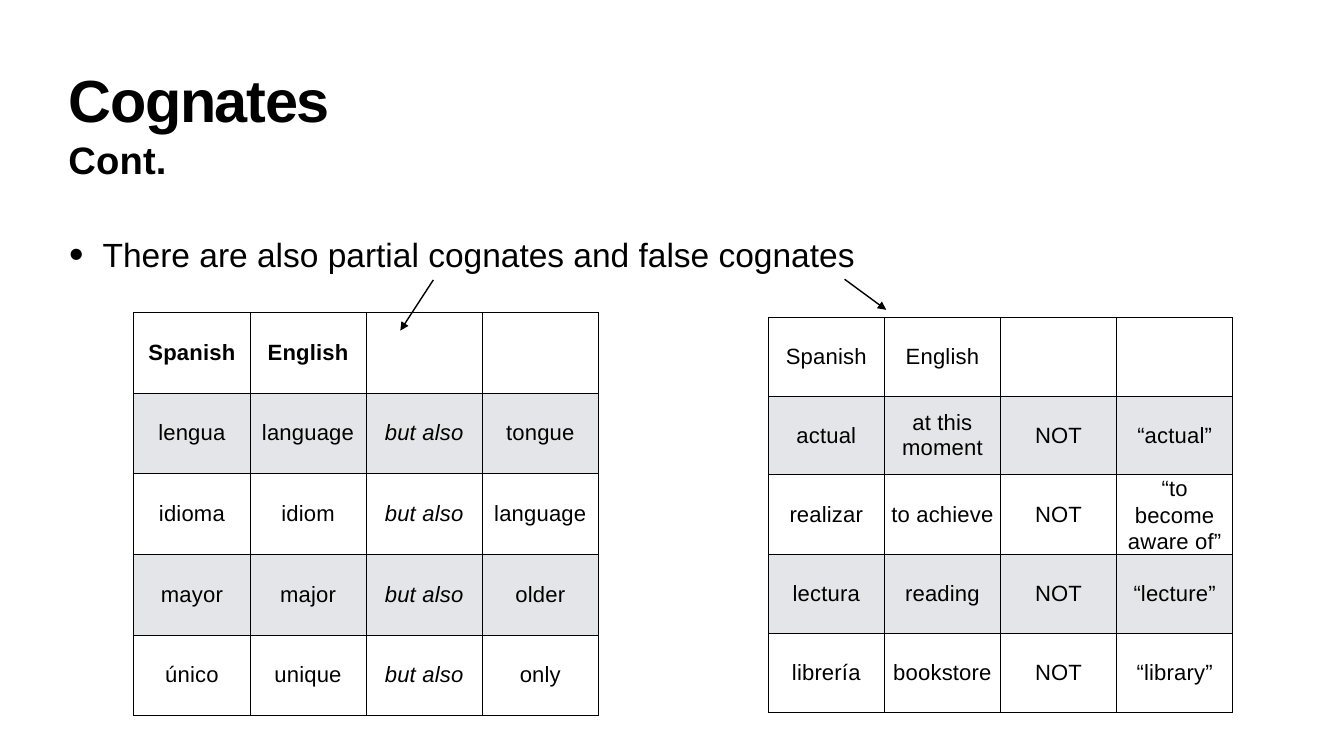
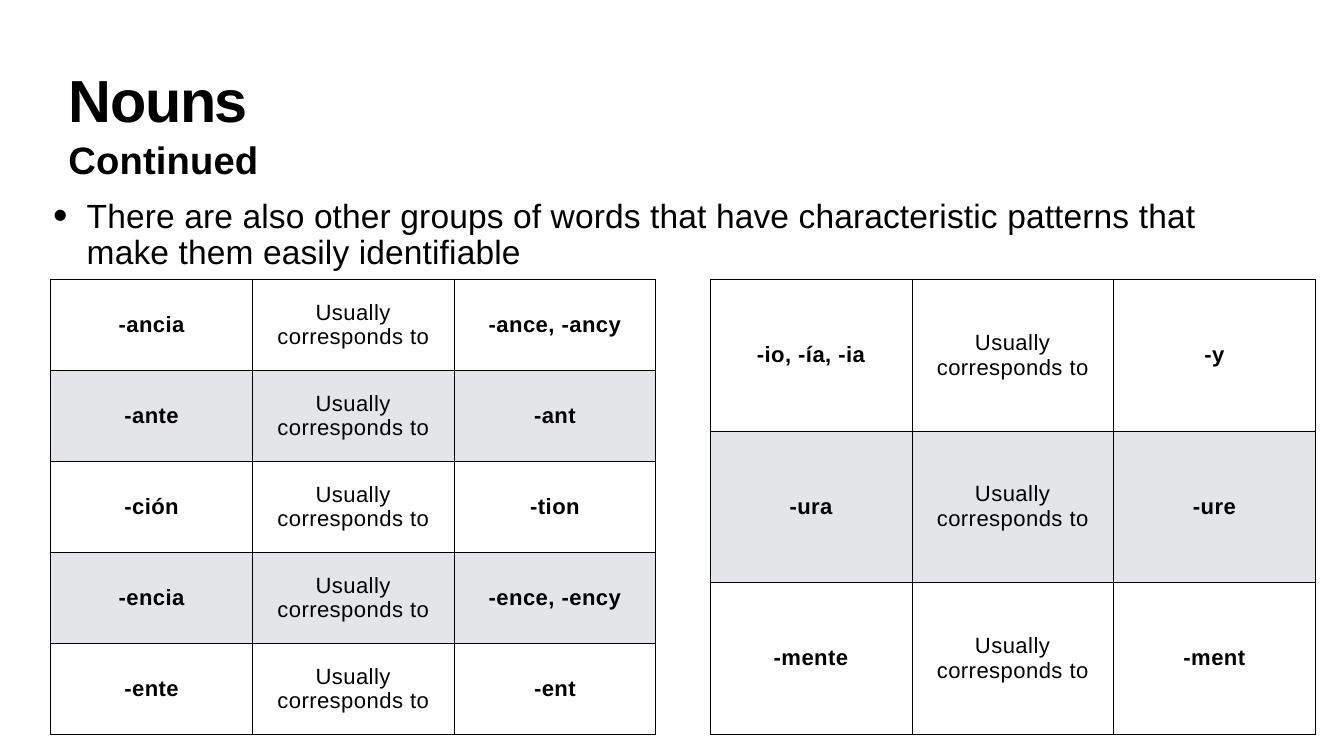
from lxml import etree
from pptx import Presentation
from pptx.dml.color import RGBColor
from pptx.enum.shapes import MSO_CONNECTOR
from pptx.enum.text import MSO_ANCHOR, PP_ALIGN
from pptx.oxml.ns import qn
from pptx.util import Inches, Pt

CENTER, MIDDLE = PP_ALIGN.CENTER, MSO_ANCHOR.MIDDLE
STRAIGHT = MSO_CONNECTOR.STRAIGHT
BLACK, WHITE, BAND = "000000", "FFFFFF", "E3E5E8"
FONT = "Arial"
MATCH = "Usually\vcorresponds to"

SLIDES = [
    {
        "title": "Cognates",
        "subtitle": "Cont.",
        "point": "There are also partial cognates and false cognates",
        "point_at": (1.12, 3.83),
        "point_format": {"spacing": 0},
        "line_spacing": 1.0,
        "tables": [
            {"at": (2.19, 5.11), "column": 1.9, "row": 1.32, "spacing": 0.2,
             "bold_rows": [0], "bold_columns": [], "italic_columns": [2],
             "rows": [["Spanish", "English", "", ""],
                      ["lengua", "language", "but also", "tongue"],
                      ["idioma", "idiom", "but also", "language"],
                      ["mayor", "major", "but also", "older"],
                      ["único", "unique", "but also", "only"]]},
            {"at": (12.57, 5.19), "column": 1.9, "row": 1.29, "spacing": 0.2,
             "bold_rows": [], "bold_columns": [], "italic_columns": [],
             "rows": [["Spanish", "English", "", ""],
                      ["actual", "at this\vmoment", "NOT", "“actual”"],
                      ["realizar", "to achieve", "NOT", "“to\vbecome\vaware of”"],
                      ["lectura", "reading", "NOT", "“lecture”"],
                      ["librería", "bookstore", "NOT", "“library”"]]},
        ],
        "arrows": [(7.09, 4.58, 6.55, 5.41), (13.82, 4.57, 14.5, 5.07)],
    },
    {
        "title": "Nouns",
        "subtitle": "Continued",
        "point": "There are also other groups of words that have characteristic "
                 "patterns that make them easily identifiable",
        "point_at": (0.86, 3.26),
        "point_format": {"spacing": 0.2},
        "line_spacing": Pt(42.4),
        "tables": [
            {"at": (0.83, 4.57), "column": 3.3, "row": 1.49, "spacing": 0.5,
             "bold_rows": [], "bold_columns": [0, 2], "italic_columns": [],
             "rows": [["-ancia", MATCH, "-ance, -ancy"],
                      ["-ante", MATCH, "-ant"],
                      ["-ción", MATCH, "-tion"],
                      ["-encia", MATCH, "-ence, -ency"],
                      ["-ente", MATCH, "-ent"]]},
            {"at": (11.62, 4.57), "column": 3.3, "row": 2.48, "spacing": 0.5,
             "bold_rows": [], "bold_columns": [0, 2], "italic_columns": [],
             "rows": [["-io, -ía, -ia", MATCH, "-y"],
                      ["-ura", MATCH, "-ure"],
                      ["-mente", MATCH, "-ment"]]},
        ],
        "arrows": [],
    },
]


def color(hex_code):
    return RGBColor.from_string(hex_code)


def write(paragraph, text, size, spacing, bold=False, italic=False):
    """Fill a paragraph; spacing is the extra space between letters in points."""
    paragraph.text = text
    for run in paragraph.runs:
        font_format = {"name": FONT, "size": Pt(size), "bold": bold, "italic": italic}
        for attribute, value in font_format.items():
            setattr(run.font, attribute, value)
        run.font.color.rgb = color(BLACK)
        run.font._element.set("spc", str(round(spacing * 100)))


prs = Presentation()
prs.slide_width, prs.slide_height = Inches(21.99), Inches(12.37)

for content in SLIDES:
    slide = prs.slides.add_slide(prs.slide_layouts[6])

    heading = slide.shapes.add_textbox(Inches(1.12), Inches(1.03), Inches(12), Inches(1.9))
    left, top = content["point_at"]
    point = slide.shapes.add_textbox(Inches(left), Inches(top), Inches(19.06), Inches(0.69))
    for box in (heading, point):
        frame = box.text_frame
        frame.word_wrap = True
        frame.margin_left = frame.margin_top = frame.margin_right = frame.margin_bottom = 0

    title = heading.text_frame.paragraphs[0]
    write(title, content["title"], 70, -1.5, bold=True)
    subtitle = heading.text_frame.add_paragraph()
    subtitle.space_before = Pt(1.9)
    write(subtitle, content["subtitle"], 45, 0.2, bold=True)

    bullet_point = point.text_frame.paragraphs[0]
    write(bullet_point, content["point"], 39.5, **content["point_format"])
    bullet_point.line_spacing = content["line_spacing"]
    properties = bullet_point._p.get_or_add_pPr()
    properties.set("marL", str(Inches(0.56)))
    properties.set("indent", str(Inches(-0.55)))
    etree.SubElement(properties, qn("a:buSzPct")).set("val", "123000")
    etree.SubElement(properties, qn("a:buFont")).set("typeface", FONT)
    etree.SubElement(properties, qn("a:buChar")).set("char", "•")

    for spec_table in content["tables"]:
        rows = spec_table["rows"]
        left, top = spec_table["at"]
        width, height = spec_table["column"], spec_table["row"]
        table = slide.shapes.add_table(
            len(rows), len(rows[0]), Inches(left), Inches(top),
            Inches(width * len(rows[0])), Inches(height * len(rows))).table
        table.first_row = table.horz_banding = False
        for column in table.columns:
            column.width = Inches(width)
        for r, words in enumerate(rows):
            table.rows[r].height = Inches(height)
            for c, word in enumerate(words):
                cell = table.cell(r, c)
                cell.margin_left = cell.margin_top = cell.margin_right = cell.margin_bottom = 0
                cell.vertical_anchor = MIDDLE
                for side in ("lnL", "lnR", "lnT", "lnB"):
                    border = etree.SubElement(cell._tc.get_or_add_tcPr(), qn(f"a:{side}"))
                    border.set("w", str(Pt(1)))
                    ink = etree.SubElement(border, qn("a:solidFill"))
                    etree.SubElement(ink, qn("a:srgbClr")).set("val", BLACK)
                cell.fill.solid()
                cell.fill.fore_color.rgb = color(BAND if r % 2 else WHITE)
                paragraph = cell.text_frame.paragraphs[0]
                paragraph.alignment = CENTER
                if word.count("\v") == 2:
                    paragraph.line_spacing = Pt(31.3)
                write(paragraph, word, 26, spec_table["spacing"],
                      bold=r in spec_table["bold_rows"] or c in spec_table["bold_columns"],
                      italic=c in spec_table["italic_columns"])

    for ends in content["arrows"]:
        arrow = slide.shapes.add_connector(STRAIGHT, *(Inches(end) for end in ends))
        arrow.line.width = Pt(1.65)
        arrow.line.color.rgb = color(BLACK)
        head = etree.SubElement(arrow.line._get_or_add_ln(), qn("a:tailEnd"))
        for attribute, value in {"type": "triangle", "w": "lg", "len": "lg"}.items():
            head.set(attribute, value)
        etree.SubElement(arrow._element.spPr, qn("a:effectLst"))

prs.save("out.pptx")
